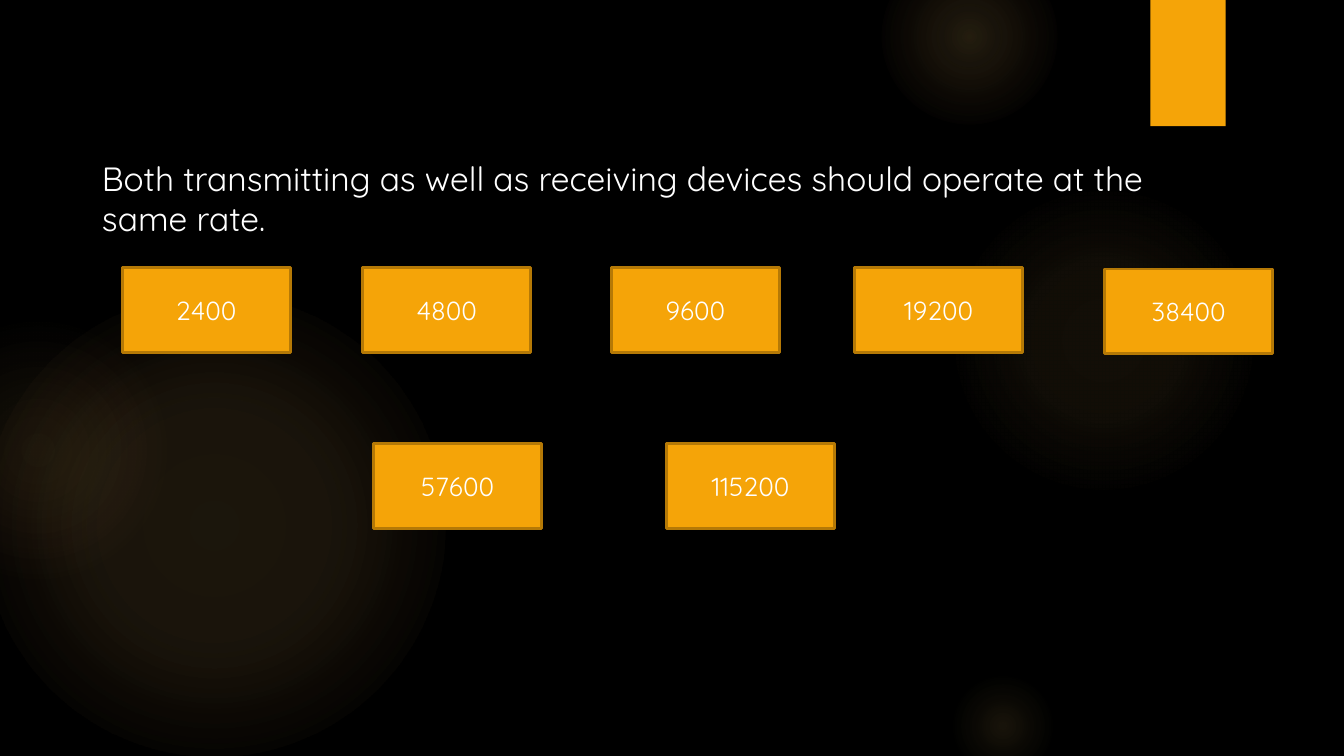
import pptx
import pptx.util
import pptx.oxml
import pptx.oxml.ns
from pptx.dml.color import RGBColor
from pptx.enum.shapes import MSO_SHAPE
from pptx.enum.text import MSO_ANCHOR, PP_ALIGN

BLACK = RGBColor(0x00, 0x00, 0x00)
WHITE = RGBColor(0xFF, 0xFF, 0xFF)
AMBER = RGBColor(0xF5, 0xA4, 0x08)
DARK_AMBER = RGBColor(0xB5, 0x79, 0x06)
GLOW = RGBColor(0xFA, 0xC9, 0x6A)
CORAL = RGBColor(0xF5, 0x9B, 0x74)
FONT = "Quicksand"

# The slide is a grid of 100 columns by 100 rows
WIDTH = pptx.util.Inches(10)
HEIGHT = pptx.util.Inches(5.625)
RATE_WIDTH, RATE_HEIGHT = 12.5, 11.2

# Left column, top row, diameter in columns, gradient stops (position, colour, opacity)
GLOWS = [
    (-1.3, 38.9, 34.4, [(0, GLOW, 11), (36, GLOW, 10), (75, GLOW, 0)]),
    (-6.9, 42.3, 19.4, [(0, GLOW, 8), (36, GLOW, 5), (71, CORAL, 0)]),
    (70.6, 24.5, 23.1, [(0, GLOW, 7), (36, GLOW, 6), (69, GLOW, 0)]),
    (65.6, -6.8, 13.1, [(0, GLOW, 14), (36, GLOW, 7), (73, GLOW, 0)]),
    (70.6, 88.9, 8.1, [(0, GLOW, 10), (31, GLOW, 5), (66, GLOW, 0)]),
]

# Baud rate, left column, top row
RATES = [
    ("2400", 9.1, 35.4),
    ("4800", 27, 35.4),
    ("9600", 45.5, 35.4),
    ("19200", 63.6, 35.4),
    ("38400", 82.2, 35.6),
    ("57600", 27.8, 58.7),
    ("115200", 49.6, 58.7),
]


def columns(count):
    return round(WIDTH * count / 100)


def rows(count):
    return round(HEIGHT * count / 100)


def add_glow(slide, left, top, diameter, stops):
    size = columns(diameter)
    glow = slide.shapes.add_shape(
        MSO_SHAPE.OVAL, columns(left), rows(top), size, size)
    glow.shadow.inherit = False
    glow.line.fill.background()
    glow.fill.background()
    stop_xml = "".join(
        f'<a:gs pos="{position * 1000}"><a:srgbClr val="{color}">'
        f'<a:alpha val="{opacity * 1000}"/></a:srgbClr></a:gs>'
        for position, color, opacity in stops)
    gradient = pptx.oxml.parse_xml(
        f'<a:gradFill {pptx.oxml.ns.nsdecls("a")} rotWithShape="1">'
        f'<a:gsLst>{stop_xml}</a:gsLst><a:path path="circle">'
        '<a:fillToRect l="50000" t="50000" r="50000" b="50000"/>'
        '</a:path></a:gradFill>')
    properties = glow._element.spPr
    properties.replace(properties.find(pptx.oxml.ns.qn("a:noFill")), gradient)


def add_block(slide, left, top, width, height):
    block = slide.shapes.add_shape(
        MSO_SHAPE.RECTANGLE, columns(left), rows(top), columns(width), rows(height))
    block.shadow.inherit = False
    block.fill.solid()
    block.fill.fore_color.rgb = AMBER
    block.line.fill.background()
    return block


def add_run(paragraph, text, size):
    run = paragraph.add_run()
    run.text = text
    run.font.name = FONT
    run.font.size = pptx.util.Pt(size)
    run.font.color.rgb = WHITE


def add_rate(slide, rate, left, top):
    block = add_block(slide, left, top, RATE_WIDTH, RATE_HEIGHT)
    block.line.color.rgb = DARK_AMBER
    block.line.width = pptx.util.Pt(1.5)
    block.text_frame.vertical_anchor = MSO_ANCHOR.MIDDLE
    label = block.text_frame.paragraphs[0]
    label.alignment = PP_ALIGN.CENTER
    add_run(label, rate, 14)


def add_statement(slide, text):
    statement = slide.shapes.add_textbox(
        columns(6.6), rows(20), columns(85.7), rows(12.6))
    statement.text_frame.word_wrap = True
    add_run(statement.text_frame.paragraphs[0], text, 18)


def main():
    deck = pptx.Presentation()
    deck.slide_width, deck.slide_height = WIDTH, HEIGHT
    slide = deck.slides.add_slide(deck.slide_layouts[6])

    # Backdrop: soft glows and the amber tab
    slide.background.fill.solid()
    slide.background.fill.fore_color.rgb = BLACK
    for left, top, diameter, stops in GLOWS:
        add_glow(slide, left, top, diameter, stops)
    add_block(slide, 85.6, 0, 5.6, 16.7)

    # Statement and the baud rates below it
    add_statement(slide, "Both transmitting as well as receiving devices "
                         "should operate at the same rate.")
    for rate, left, top in RATES:
        add_rate(slide, rate, left, top)

    deck.save("out.pptx")


if __name__ == "__main__":
    main()
